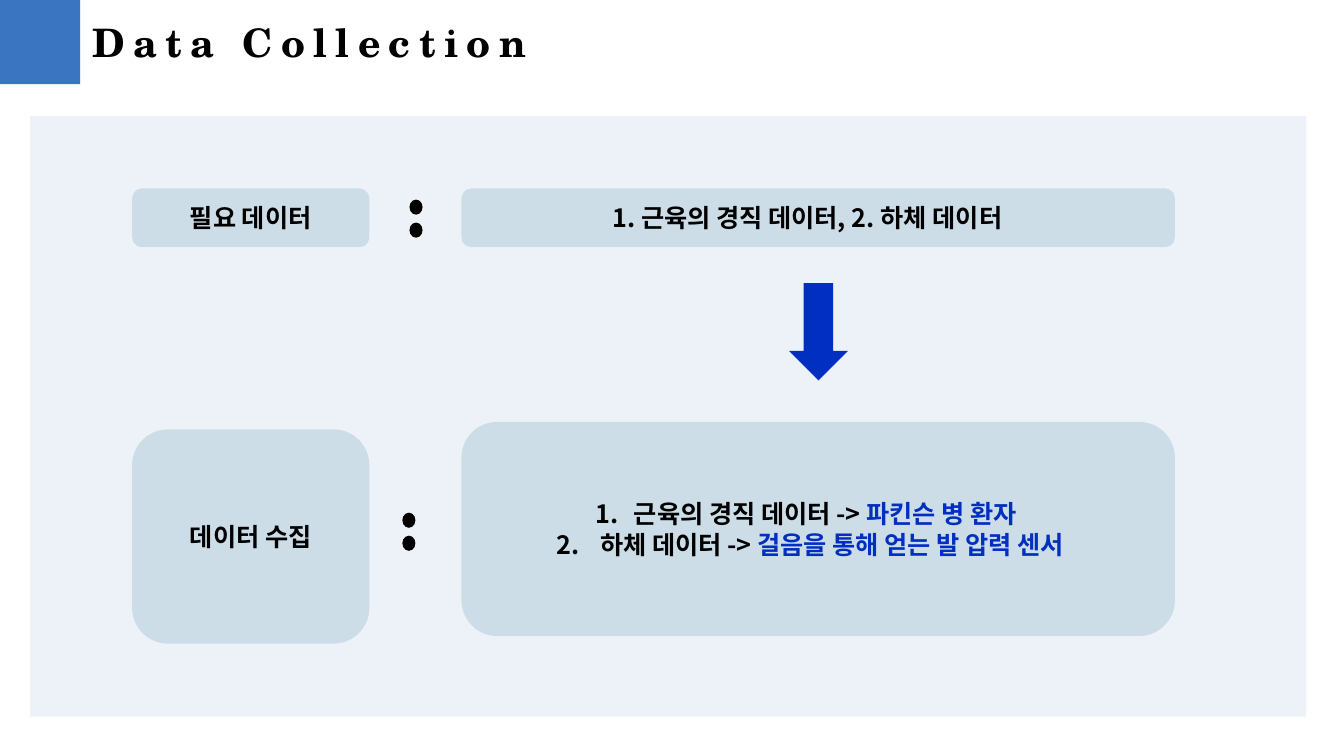
import pptx
import pptx.util
import pptx.dml.color
import pptx.enum.shapes
import pptx.enum.text
import pptx.oxml.ns
from lxml import etree

Cm = pptx.util.Cm
Kind = pptx.enum.shapes.MSO_SHAPE
Align = pptx.enum.text.PP_ALIGN

BLACK = "000000"
BLUE = "002FC1"
PALE = "CDDDE7"


def tint(code):
    return pptx.dml.color.RGBColor.from_string(code)


class Deck:
    font = "Noto Sans CJK KR"
    size = 18

    def __init__(self, slide):
        self.slide = slide

    def shape(self, kind, left, top, width, height, fill):
        item = self.slide.shapes.add_shape(kind, Cm(left), Cm(top), Cm(width), Cm(height))
        item.shadow.inherit = False
        item.fill.solid()
        item.fill.fore_color.rgb = tint(fill)
        item.line.fill.background()
        return item

    def run(self, para, text, color=BLACK, font=None, size=None):
        run = para.add_run()
        run.text = text
        run.font.size = pptx.util.Pt(size or self.size)
        run.font.bold = True
        run.font.color.rgb = tint(color)
        run.font.name = font or self.font
        east = etree.SubElement(run.font._element, pptx.oxml.ns.qn("a:ea"))
        east.set("typeface", font or self.font)
        return run

    def number(self, para, hang, right):
        props = para._p.get_or_add_pPr()
        props.set("marL", str(Cm(hang)))
        props.set("marR", str(Cm(right)))
        props.set("indent", str(-Cm(hang)))
        mark = etree.SubElement(props, pptx.oxml.ns.qn("a:buAutoNum"))
        mark.set("type", "arabicPeriod")

    def card(self, left, top, width, height, text=None, right=0):
        item = self.shape(Kind.ROUNDED_RECTANGLE, left, top, width, height, PALE)
        frame = item.text_frame
        frame.word_wrap = True
        frame.vertical_anchor = pptx.enum.text.MSO_ANCHOR.MIDDLE
        frame.margin_right = Cm(0.25 + right)
        para = frame.paragraphs[0]
        para.alignment = Align.CENTER
        if text:
            self.run(para, text)
        return frame

    def steps(self, frame, rows):
        for index, (hang, right, label, source) in enumerate(rows):
            para = frame.add_paragraph() if index else frame.paragraphs[0]
            para.alignment = Align.CENTER
            self.number(para, hang, right)
            self.run(para, label)
            self.run(para, source, BLUE)

    def colon(self, left, top):
        for row in range(2):
            self.shape(Kind.OVAL, left, top + row * 0.58, 0.33, 0.38, BLACK)

    def title(self, text):
        box = self.slide.shapes.add_textbox(Cm(2.08), Cm(0.33), Cm(11.58), Cm(1.45))
        frame = box.text_frame
        frame.word_wrap = False
        frame.auto_size = pptx.enum.text.MSO_AUTO_SIZE.SHAPE_TO_FIT_TEXT
        run = self.run(frame.paragraphs[0], text, font="TeX Gyre Schola", size=28)
        run.font._element.set("spc", "600")


def main():
    show = pptx.Presentation()
    show.slide_width = Cm(33.87)
    show.slide_height = Cm(19.05)
    deck = Deck(show.slides.add_slide(show.slide_layouts[6]))

    deck.shape(Kind.RECTANGLE, 0.76, 2.92, 32.16, 15.14, "EDF2F9")
    deck.shape(Kind.RECTANGLE, 0, 0, 2.02, 2.12, "3975C0")

    frame = deck.card(11.63, 10.63, 17.98, 5.4)
    deck.steps(frame, [
        (0.97, 0.6, "근육의 경직 데이터 -> ", "파킨슨 병 환자"),
        (1.1, 0.4, "하체 데이터 -> ", "걸음을 통해 얻는 발 압력 센서"),
    ])
    deck.card(11.63, 4.75, 17.98, 1.48, "1. 근육의 경직 데이터, 2. 하체 데이터", 0.55)
    arrow = deck.shape(Kind.RIGHT_ARROW, 19.4, 7.62, 2.45, 1.48, BLUE)
    arrow.rotation = 90

    deck.card(3.33, 4.75, 5.98, 1.48, "필요 데이터")
    deck.card(3.33, 10.82, 5.98, 5.4, "데이터 수집")
    deck.colon(10.32, 5.03)
    deck.colon(10.14, 12.92)
    deck.title("Data Collection")

    show.save("out.pptx")


if __name__ == "__main__":
    main()
